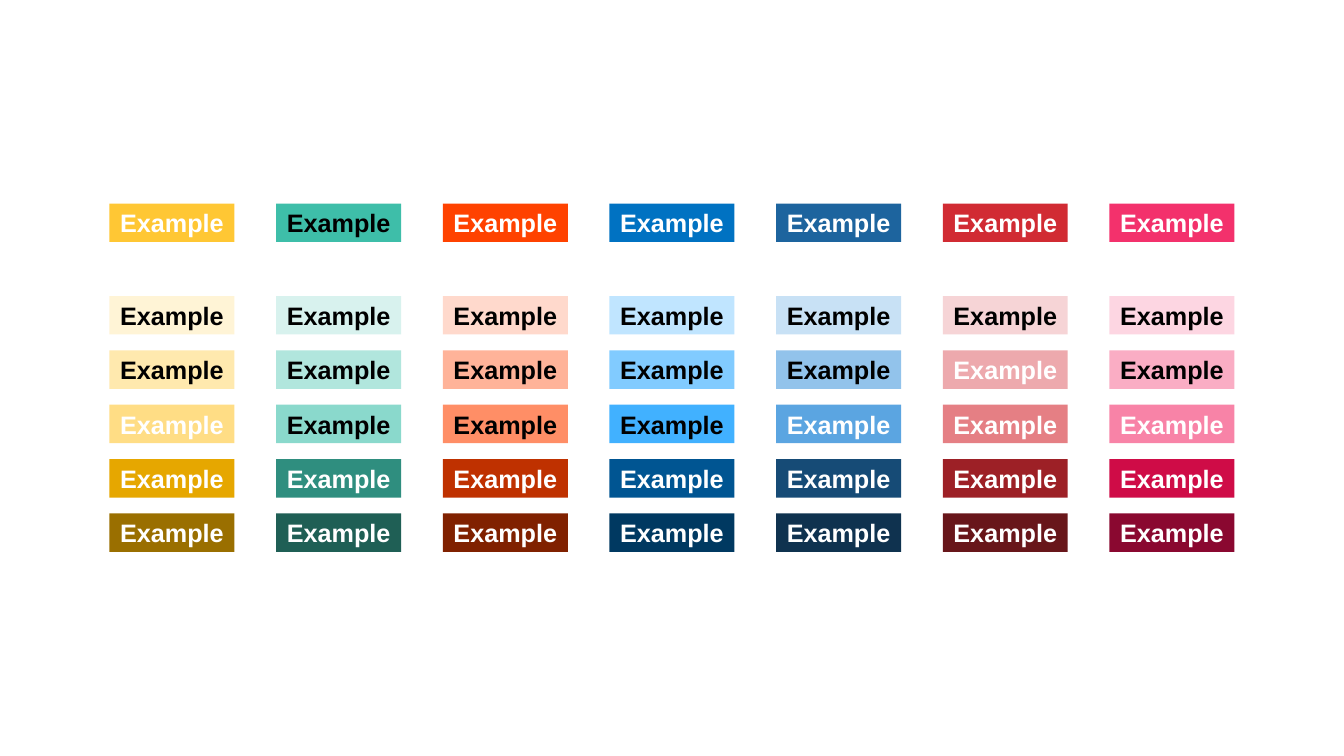
from pptx import Presentation
from pptx.dml.color import RGBColor
from pptx.enum.shapes import MSO_SHAPE
from pptx.enum.text import MSO_ANCHOR, PP_ALIGN
from pptx.util import Cm, Pt

RECT = MSO_SHAPE.RECTANGLE
MIDDLE = MSO_ANCHOR.MIDDLE
CENTER = PP_ALIGN.CENTER

BLACK, WHITE = "000000", "FFFFFF"
LEFT, STEP = 2.76, 4.2
BASE_TOP, TINT_TOP, TINT_STEP = 5.13, 7.46, 1.37
WIDTH, HEIGHT = 3.15, 0.97

# Each hue: fills from base through tints to shades, then rows with black text
HUES = [
    ("FFC734 FFF4D6 FFE9AE FFDD85 E6A700 9A6F00", {1, 2}),
    ("3EBEA9 D8F2EE B1E6DD 8AD9CC 2F8E7F 1F5F55", {0, 1, 2, 3}),
    ("FF4200 FFD9CC FFB399 FF8E66 BF3100 802100", {1, 2, 3}),
    ("0072C2 C0E5FF 81CBFF 41B1FF 005592 003961", {1, 2, 3}),
    ("1D649E C8E1F5 92C3EB 5BA5E1 164B76 0F324F", {1, 2}),
    ("D12B33 F6D4D6 EDA9AD E57F84 9D2026 68161A", {1}),
    ("F3316C FDD6E2 FAADC4 F883A7 CF0C47 8A0830", {1, 2}),
]


def color(code):
    return RGBColor.from_string(code)


def add_swatch(slide, left, top, fill, ink):
    swatch = slide.shapes.add_shape(RECT, Cm(left), Cm(top), Cm(WIDTH), Cm(HEIGHT))
    swatch.shadow.inherit = False
    swatch.fill.solid()
    swatch.fill.fore_color.rgb = color(fill)
    swatch.line.fill.background()
    frame = swatch.text_frame
    frame.word_wrap = False
    frame.vertical_anchor = MIDDLE
    label = frame.paragraphs[0]
    label.text = "Example"
    label.alignment = CENTER
    label.font.name = "Arial"
    label.font.size = Pt(18)
    label.font.bold = True
    label.font.color.rgb = color(ink)


def add_hue(slide, left, fills, dark):
    for row, fill in enumerate(fills.split()):
        top = TINT_TOP + (row - 1) * TINT_STEP if row else BASE_TOP
        add_swatch(slide, left, top, fill, BLACK if row in dark else WHITE)


def main():
    deck = Presentation()
    deck.slide_width = Cm(33.87)
    deck.slide_height = Cm(19.05)
    slide = deck.slides.add_slide(deck.slide_layouts[6])
    for col, (fills, dark) in enumerate(HUES):
        add_hue(slide, LEFT + col * STEP, fills, dark)
    deck.save("out.pptx")


main()
